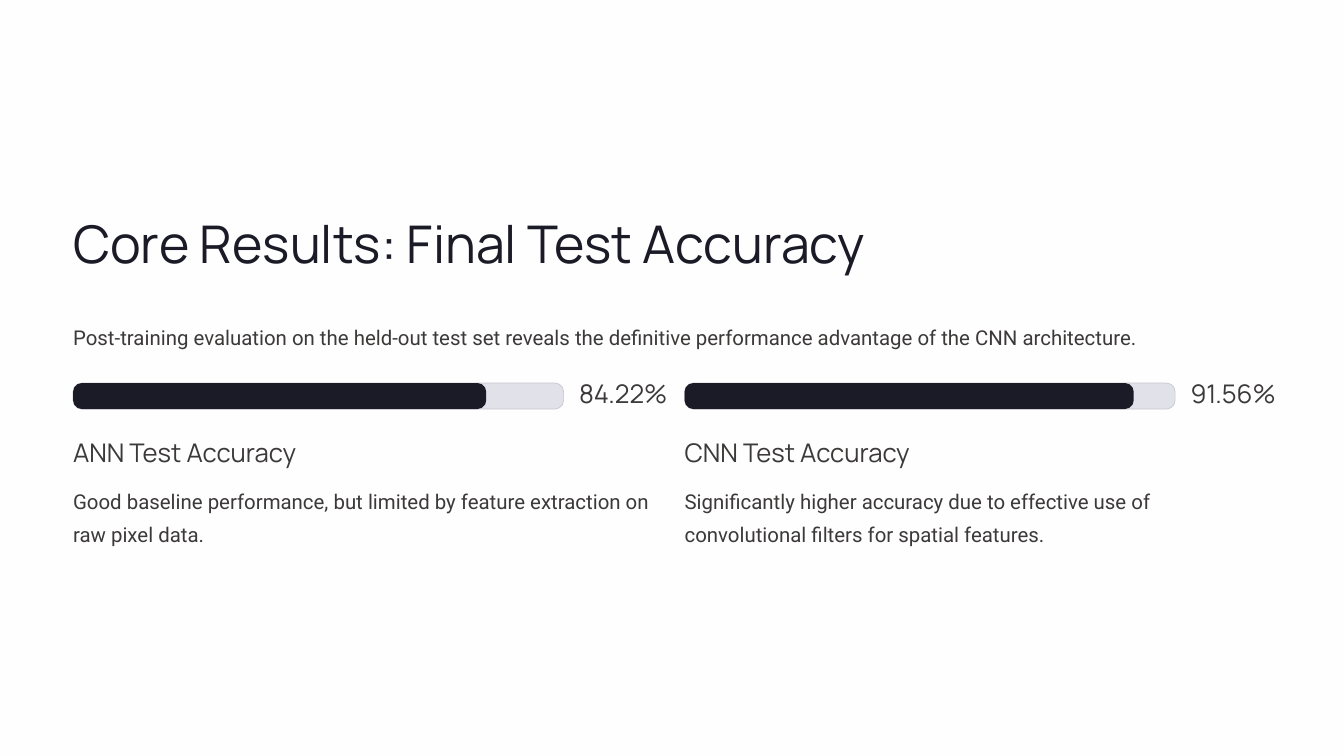
from pptx import Presentation
from pptx.dml.color import RGBColor
from pptx.enum.shapes import MSO_SHAPE
from pptx.util import Pt

ROUNDED = MSO_SHAPE.ROUNDED_RECTANGLE
HEADING_FONT, BODY_FONT = "Manrope", "Roboto"
PAGE, INK, BODY = "FEFEFE", "1B1B27", "3C3939"
TRACK, TRACK_LINE = "E1E1EA", "C7C7D0"

LEFT, CONTENT_W, COLUMN_W = 62.64, 1026.72, 502.56
BAR_W, BAR_H = 420.48, 22.32
VALUE_GAP, VALUE_W = 13.2, 80
RESULTS = [
    (84.22, "ANN Test Accuracy",
     "Good baseline performance, but limited by feature extraction on raw pixel data."),
    (91.56, "CNN Test Accuracy",
     "Significantly higher accuracy due to effective use of convolutional filters for spatial features."),
]


def color(value):
    return RGBColor.from_string(value)


def add_text(s, box, text, size, spacing, font=BODY_FONT, fill=BODY):
    tf = s.shapes.add_textbox(*map(Pt, box)).text_frame
    tf.margin_left = tf.margin_top = tf.margin_right = tf.margin_bottom = 0
    tf.word_wrap = True
    p = tf.paragraphs[0]
    p.line_spacing = Pt(spacing)
    r = p.add_run()
    r.text = text
    r.font.name, r.font.size = font, Pt(size)
    r.font.color.rgb = color(fill)


def add_bar(s, box, fill, line=None):
    sp = s.shapes.add_shape(ROUNDED, *map(Pt, box))
    sp.adjustments[0] = 0.336
    sp.shadow.inherit = False
    sp.fill.solid()
    sp.fill.fore_color.rgb = color(fill)
    if line:
        sp.line.color.rgb = color(line)
        sp.line.width = Pt(0.6)
    else:
        sp.line.fill.background()


def add_header(s, x, y, w):
    add_text(s, (x, y, w, 56.16), "Core Results: Final Test Accuracy",
             44.5, 55.5, HEADING_FONT, INK)
    add_text(s, (x, y + 91.8, w, 28.8),
             "Post-training evaluation on the held-out test set reveals the definitive "
             "performance advantage of the CNN architecture.", 17.5, 28.5)


def add_result(s, x, y, w, percent, title, detail):
    """Progress bar with its value, a heading and a description below."""
    add_bar(s, (x, y, BAR_W, BAR_H), TRACK, TRACK_LINE)
    add_bar(s, (x, y, BAR_W * percent / 100, BAR_H), INK)
    add_text(s, (x + BAR_W + VALUE_GAP, y, VALUE_W, BAR_H), f"{percent:.2f}%",
             22, 22, HEADING_FONT)
    add_text(s, (x, y + 44.64, w, 28.08), title, 22, 27.5, HEADING_FONT)
    add_text(s, (x, y + 83.52, w, 56.88), detail, 17.5, 28.5)


def main():
    prs = Presentation()
    prs.slide_width, prs.slide_height = Pt(1152), Pt(648)
    s = prs.slides.add_slide(prs.slide_layouts[6])
    s.background.fill.solid()
    s.background.fill.fore_color.rgb = color(PAGE)
    add_header(s, LEFT, 179.28, CONTENT_W)
    pitch = CONTENT_W - COLUMN_W
    for i, result in enumerate(RESULTS):
        add_result(s, LEFT + i * pitch, 328.32, COLUMN_W, *result)
    prs.save("out.pptx")


if __name__ == "__main__":
    main()
